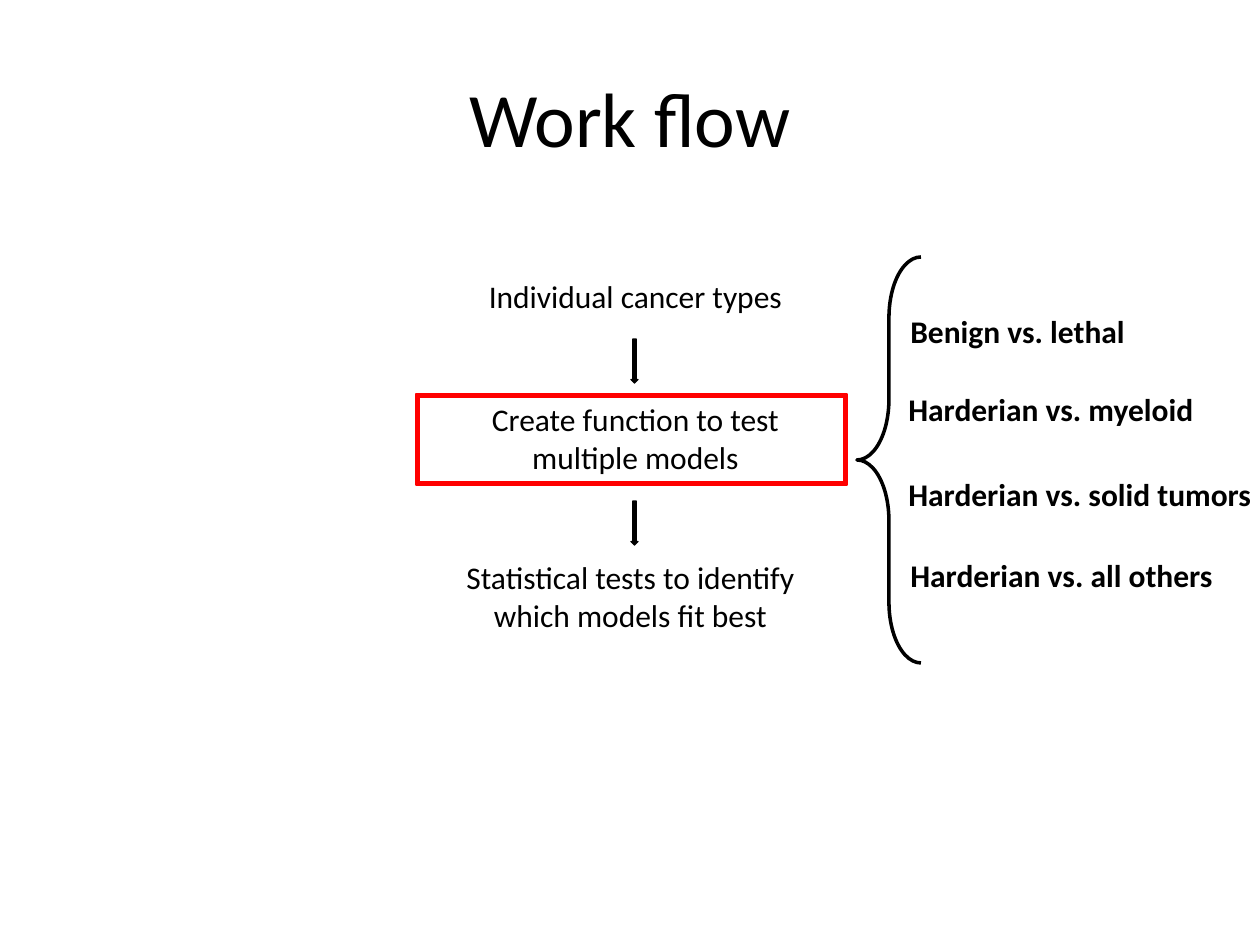
from dataclasses import dataclass

from pptx import Presentation
from pptx.dml.color import RGBColor
from pptx.enum.shapes import MSO_SHAPE
from pptx.enum.text import MSO_ANCHOR, PP_ALIGN
from pptx.util import Emu, Pt

PIXELS_PER_INCH = 126
BLACK = "000000"
RED = "FF0000"
FONT = "Calibri"


@dataclass(frozen=True)
class Label:
    text: str
    left: int
    top: int
    height: int
    bold: bool = False
    align: PP_ALIGN = PP_ALIGN.CENTER


@dataclass(frozen=True)
class Figure:
    kind: MSO_SHAPE
    left: int
    top: int
    width: int
    height: int
    color: str = BLACK
    line_width: float = 0.75
    filled: bool = True
    adjustments: tuple[float, ...] = ()


LABEL_WIDTH = 417
ONE_LINE = 50
TWO_LINES = 89

STEPS = (
    Label("Individual cancer types", 427, 271, ONE_LINE),
    Label("Create function to test multiple models", 427, 394, TWO_LINES),
    Label("Statistical tests to identify which models fit best", 422, 552, TWO_LINES),
)
COMPARISONS = tuple(
    Label(text, left, top, ONE_LINE, bold=True, align=PP_ALIGN.LEFT)
    for text, left, top in (
        ("Benign vs. lethal", 898, 306),
        ("Harderian vs. myeloid", 896, 384),
        ("Harderian vs. solid tumors", 896, 469),
        ("Harderian vs. all others", 898, 550),
    )
)
ARROWS = tuple(
    Figure(MSO_SHAPE.DOWN_ARROW, 631, top, 7, 44) for top in (339, 501)
)
HIGHLIGHT = Figure(MSO_SHAPE.FRAME, 416, 394, 431, 91, RED, adjustments=(0.04,))
BRACE = Figure(
    MSO_SHAPE.LEFT_BRACE, 857, 257, 64, 406,
    line_width=2, filled=False, adjustments=(0.95, 0.5),
)


def px(value: int) -> Emu:
    return Emu(round(value * 914400 / PIXELS_PER_INCH))


def color(value: str) -> RGBColor:
    return RGBColor.from_string(value)


def write_text(frame, text: str, *, size: int, bold: bool = False,
               align: PP_ALIGN = PP_ALIGN.CENTER,
               anchor: MSO_ANCHOR = MSO_ANCHOR.TOP) -> None:
    frame.word_wrap = True
    frame.vertical_anchor = anchor
    para = frame.paragraphs[0]
    para.alignment = align
    span = para.add_run()
    span.text = text
    span.font.name = FONT
    span.font.size = Pt(size)
    span.font.bold = bold
    span.font.color.rgb = color(BLACK)


def add_label(page, label: Label) -> None:
    box = page.shapes.add_textbox(
        px(label.left), px(label.top), px(LABEL_WIDTH), px(label.height)
    )
    write_text(box.text_frame, label.text, size=18, bold=label.bold, align=label.align)


def add_figure(page, figure: Figure) -> None:
    shape = page.shapes.add_shape(
        figure.kind, px(figure.left), px(figure.top),
        px(figure.width), px(figure.height),
    )
    shape.shadow.inherit = False
    for index, value in enumerate(figure.adjustments):
        shape.adjustments[index] = value
    if figure.filled:
        shape.fill.solid()
        shape.fill.fore_color.rgb = color(figure.color)
    else:
        shape.fill.background()
    shape.line.color.rgb = color(figure.color)
    shape.line.width = Pt(figure.line_width)


def main() -> None:
    deck = Presentation()
    deck.slide_width, deck.slide_height = px(1260), px(945)
    page = deck.slides.add_slide(deck.slide_layouts[5])

    title = page.shapes.title
    title.left, title.top = px(63), px(38)
    title.width, title.height = px(1134), px(157)
    write_text(title.text_frame, "Work flow", size=44, anchor=MSO_ANCHOR.MIDDLE)

    for label in STEPS + COMPARISONS:
        add_label(page, label)
    for figure in (*ARROWS, HIGHLIGHT, BRACE):
        add_figure(page, figure)

    deck.save("out.pptx")


if __name__ == "__main__":
    main()
